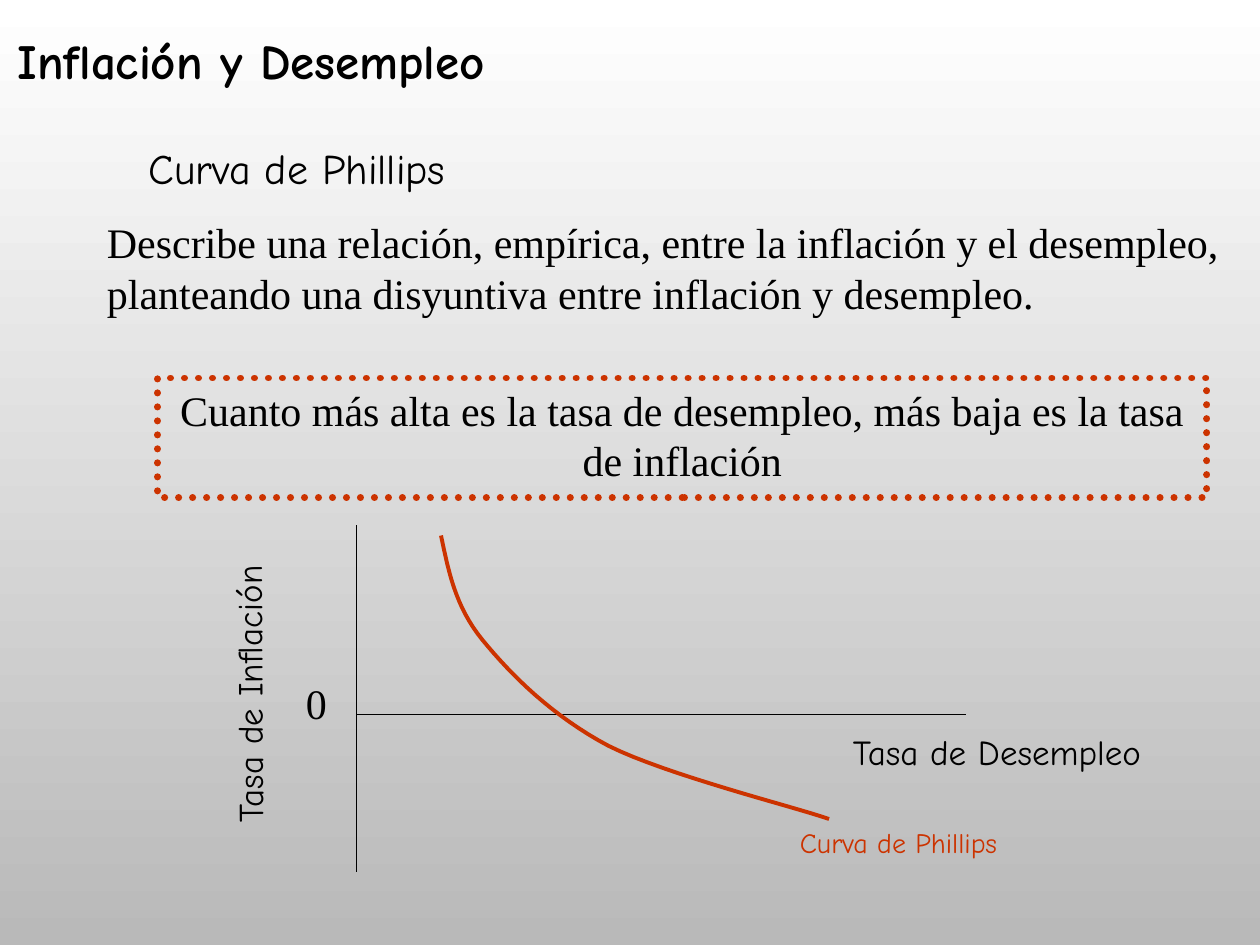
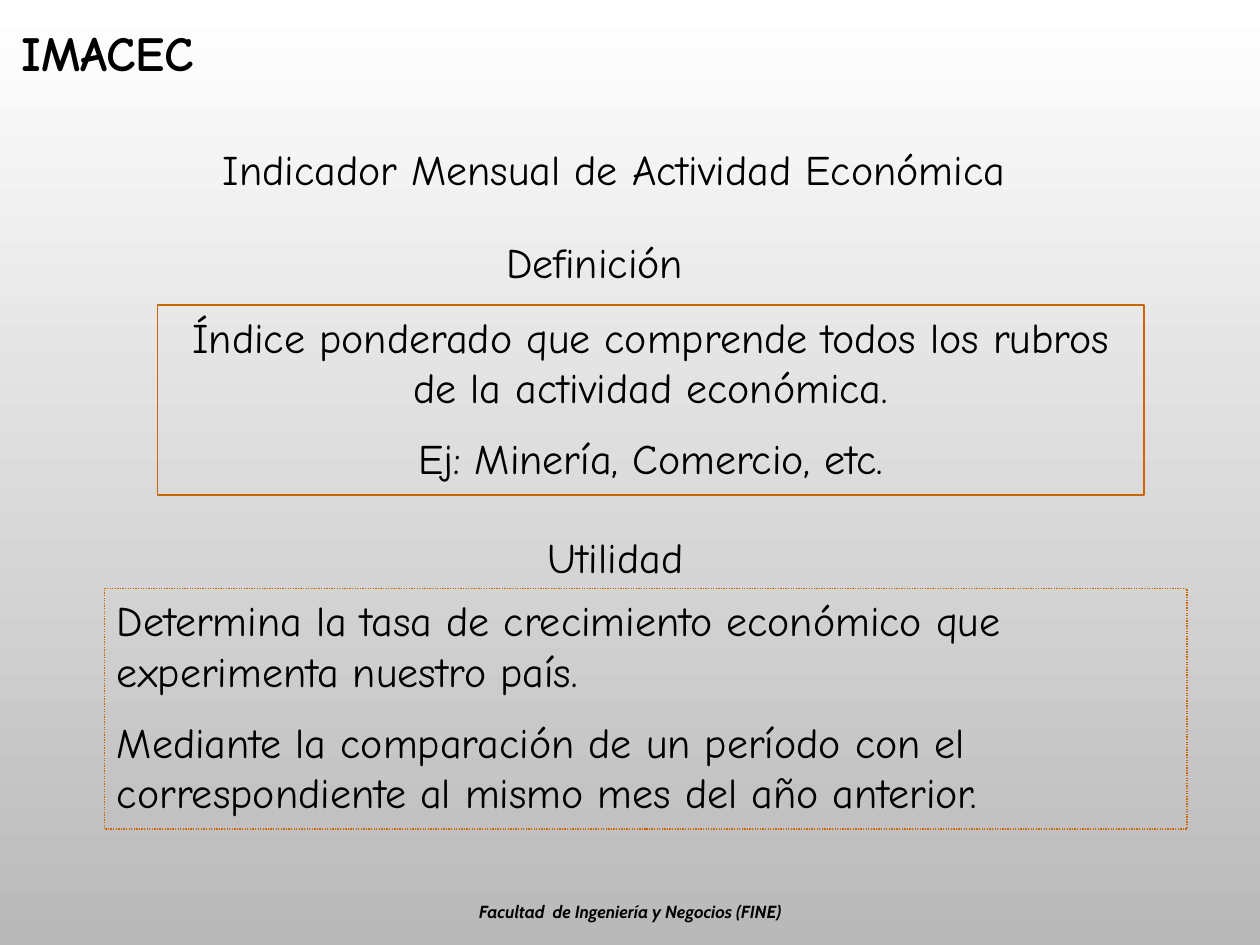
from dataclasses import dataclass
from typing import Optional

from lxml import etree
from pptx import Presentation
from pptx import util as u
from pptx.dml.color import RGBColor
from pptx.enum import dml, shapes, text
from pptx.oxml.ns import qn

COLORS = {
    "ink": "000000",
    "curve": "CC3300",
    "frame": "CC6600",
    "sky": "FFFFFF",
    "ground": "B9B9B9",
}
HAND, SERIF, FOOTER = "Comic Neue", "Times New Roman", "Cabin"
BODY_SIZE = 24
PARAGRAPH_GAP = 0.5  # share of the text size


@dataclass(frozen=True)
class Frame:
    color: str
    width: float
    dotted: bool = False
    round_cap: bool = False


@dataclass(frozen=True)
class Label:
    lines: tuple[str, ...]
    left: float
    top: float
    width: float
    height: float
    size: int = BODY_SIZE
    font: str = HAND
    color: str = "ink"
    bold: bool = False
    italic: bool = False
    centered: bool = False
    wrap: bool = True
    rotation: float = 0
    frame: Optional[Frame] = None


def rgb(name: str) -> RGBColor:
    return RGBColor.from_string(COLORS[name])


def style_line(line, color: str, width: float) -> None:
    line.color.rgb = rgb(color)
    line.width = u.Pt(width)


def draw_label(slide, label: Label) -> None:
    place = [u.Inches(v) for v in (label.left, label.top, label.width, label.height)]
    if label.frame:
        box = slide.shapes.add_shape(shapes.MSO_SHAPE.RECTANGLE, *place)
        apply_frame(box, label.frame)
    else:
        box = slide.shapes.add_textbox(*place)
    box.rotation = label.rotation
    body = box.text_frame
    body.text = "\n".join(label.lines)
    body.word_wrap = label.wrap
    body.auto_size = text.MSO_AUTO_SIZE.SHAPE_TO_FIT_TEXT
    body.vertical_anchor = text.MSO_ANCHOR.TOP
    for index, paragraph in enumerate(body.paragraphs):
        paragraph.alignment = text.PP_ALIGN.CENTER if label.centered else text.PP_ALIGN.LEFT
        if index:
            paragraph.space_before = u.Pt(label.size * PARAGRAPH_GAP)
        for run in paragraph.runs:
            run.font.name = label.font
            run.font.size = u.Pt(label.size)
            run.font.bold = label.bold
            run.font.italic = label.italic
            run.font.color.rgb = rgb(label.color)


def apply_frame(box, frame: Frame) -> None:
    box.shadow.inherit = False
    box.fill.background()
    style_line(box.line, frame.color, frame.width)
    if frame.dotted:
        box.line.dash_style = dml.MSO_LINE.ROUND_DOT
    if frame.round_cap:
        box._element.spPr.find(qn("a:ln")).set("cap", "rnd")


def draw_axis(slide, start: tuple[float, float], end: tuple[float, float]) -> None:
    axis = slide.shapes.add_connector(
        shapes.MSO_CONNECTOR.STRAIGHT, *[u.Inches(v) for v in start + end]
    )
    style_line(axis.line, "ink", 0.75)
    etree.SubElement(axis._element.spPr, qn("a:effectLst"))


def bezier_points(knots: list[tuple[float, float]], steps: int = 16) -> list[tuple[int, int]]:
    """Sample joined cubic curves; each one starts where the last one ends."""
    points = []
    for first in range(0, len(knots) - 1, 3):
        segment = knots[first:first + 4]
        for step in range(1, steps + 1):
            t = step / steps
            weights = ((1 - t) ** 3, 3 * t * (1 - t) ** 2, 3 * t ** 2 * (1 - t), t ** 3)
            x, y = (sum(w * p[axis] for w, p in zip(weights, segment)) for axis in (0, 1))
            points.append((u.Inches(x), u.Inches(y)))
    return points


def draw_curve(slide, knots: list[tuple[float, float]]) -> None:
    x, y = knots[0]
    builder = slide.shapes.build_freeform(u.Inches(x), u.Inches(y))
    builder.add_line_segments(bezier_points(knots), close=False)
    curve = builder.convert_to_shape()
    apply_frame(curve, Frame("curve", 2.25))


def title(wording: str, left: float, top: float, width: float) -> Label:
    return Label((wording,), left, top, width, 0.57, size=28, bold=True)


ORIGIN = (2.83, 5.67)
PHILLIPS_KNOTS = [
    (3.5, 4.25), (3.56, 4.53), (3.61, 4.81), (3.83, 5.08), (4.06, 5.36),
    (4.38, 5.68), (4.83, 5.92), (5.29, 6.15), (6.29, 6.4), (6.58, 6.5),
]
PHILLIPS_LABELS = [
    title("Inflación y Desempleo", 0.04, 0.19, 7.08),
    Label(("Curva de Phillips",), 1.08, 1.08, 2.72, 0.5, wrap=False),
    Label(
        ("Describe una relación, empírica, entre la inflación y el desempleo, "
         "planteando una disyuntiva entre inflación y desempleo.",),
        0.75, 1.67, 9.08, 0.91, font=SERIF,
    ),
    Label(
        ("Cuanto más alta es la tasa de desempleo, más baja es la tasa de inflación",),
        1.25, 3, 8.33, 0.95, font=SERIF, centered=True,
        frame=Frame("curve", 4, dotted=True, round_cap=True),
    ),
    Label(("0",), 2.33, 5.33, 0.37, 0.5, font=SERIF, wrap=False),
    Label(("Tasa de Desempleo",), 6.67, 5.75, 2.67, 0.43, size=20, wrap=False),
    Label(("Tasa de Inflación",), 0.74, 5.18, 2.46, 0.43, size=20, wrap=False, rotation=269.6),
    Label(("Curva de Phillips",), 6.25, 6.5, 1.88, 0.37, size=16, color="curve", wrap=False),
]
IMACEC_LABELS = [
    title("IMACEC", 0.07, 0.13, 6.58),
    Label(("Indicador Mensual de Actividad Económica",), 1.67, 1.09, 7.16, 0.5),
    Label(("Definición",), 3.92, 1.83, 2, 0.5),
    Label(
        ("Índice ponderado que comprende todos los rubros de la actividad económica.",
         "Ej: Minería, Comercio, etc."),
        1.25, 2.42, 7.83, 1.51, centered=True, frame=Frame("frame", 0.75),
    ),
    Label(("Utilidad",), 4.25, 4.17, 2, 0.5),
    Label(
        ("Determina la tasa de crecimiento económico que experimenta nuestro país.",
         "Mediante la comparación de un período con el correspondiente al mismo mes "
         "del año anterior."),
        0.83, 4.67, 8.59, 1.91, frame=Frame("frame", 0.75, dotted=True),
    ),
    Label(
        ("Facultad  de Ingeniería y Negocios (FINE)",), 2.56, 7.1, 4.88, 0.27,
        size=10, font=FOOTER, bold=True, italic=True, centered=True,
    ),
]


def shade_background(master) -> None:
    fill = master.background.fill
    fill.gradient()
    fill.gradient_angle = 270
    for stop, color, position in zip(fill.gradient_stops, ("sky", "ground"), (0, 1)):
        stop.color.rgb = rgb(color)
        stop.position = position


def add_slide(deck, labels: list[Label]):
    slide = deck.slides.add_slide(deck.slide_layouts[6])
    for label in labels:
        draw_label(slide, label)
    return slide


def main() -> None:
    deck = Presentation()
    deck.slide_width, deck.slide_height = u.Inches(10), u.Inches(7.5)
    shade_background(deck.slide_master)

    phillips = add_slide(deck, PHILLIPS_LABELS)
    draw_axis(phillips, (ORIGIN[0], 4.17), (ORIGIN[0], 6.92))
    draw_axis(phillips, ORIGIN, (7.67, ORIGIN[1]))
    draw_curve(phillips, PHILLIPS_KNOTS)

    add_slide(deck, IMACEC_LABELS)
    deck.save("out.pptx")


if __name__ == "__main__":
    main()
